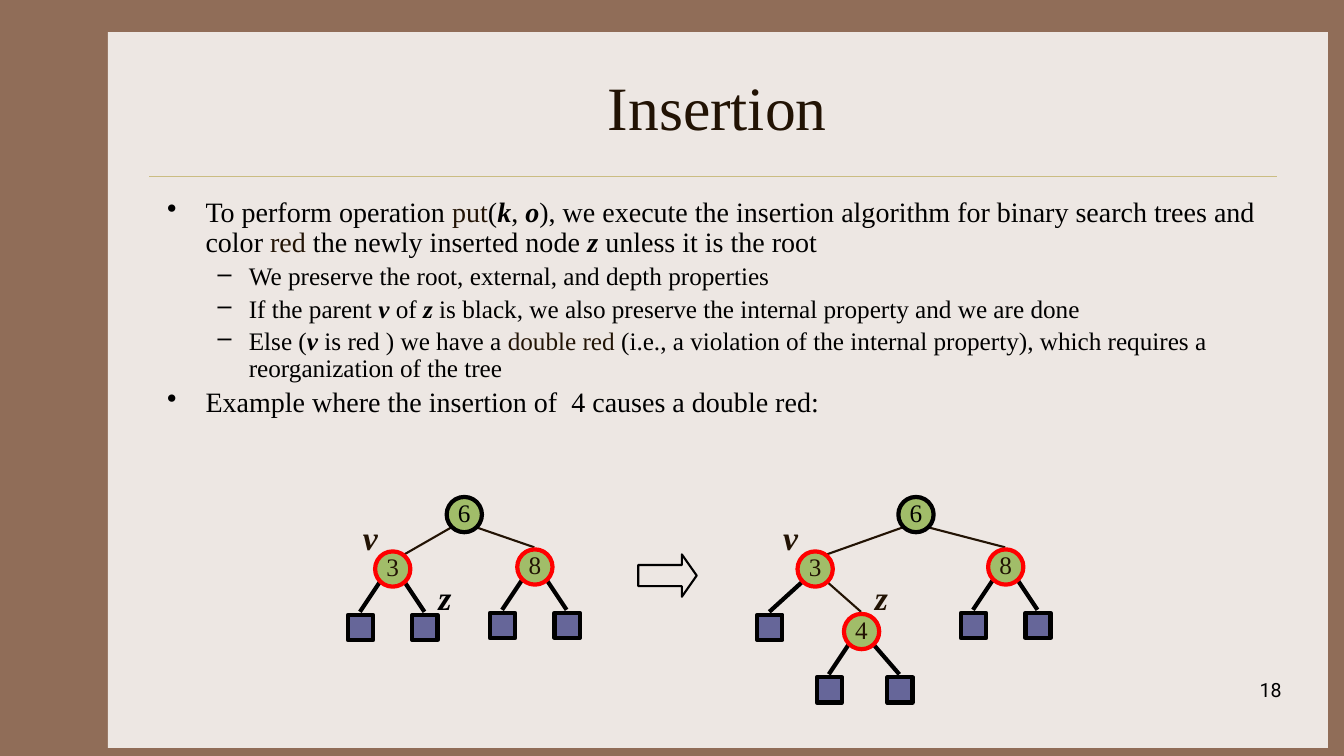
from dataclasses import dataclass

from lxml.etree import SubElement
from pptx import Presentation
from pptx.dml.color import RGBColor
from pptx.enum.shapes import MSO_CONNECTOR as Connector, MSO_SHAPE as Preset
from pptx.enum.text import MSO_ANCHOR as Anchor, PP_ALIGN as Align
from pptx.oxml.ns import qn
from pptx.util import Pt

SCALE = 9144
SERIF = "Times New Roman"
BLACK = RGBColor(0x00, 0x00, 0x00)
BROWN = RGBColor(0x22, 0x13, 0x04)
RED = RGBColor(0xFF, 0x00, 0x00)
GREEN = RGBColor(0xA1, 0xBD, 0x69)
PURPLE = RGBColor(0x66, 0x66, 0x99)
FRAME = RGBColor(0x90, 0x6D, 0x58)
PAPER = RGBColor(0xED, 0xE7, 0xE3)
GOLD = RGBColor(0xCB, 0xBD, 0x83)

NODE_SIZE = 35
LEAF_SIZE = 25

LEVELS = {0: (20, 38, 38, "•"), 1: (18, 81, 31, "–")}
BODY = [
    (0, ["To perform operation ", ("put", "brown"), "(", ("k", "variable"), ", ",
         ("o", "variable"),
         "), we execute the insertion algorithm for binary search trees and color ",
         ("red", "brown"), " the newly inserted node ", ("z ", "variable"),
         "unless it is the root"]),
    (1, ["We preserve the root, external, and depth properties"]),
    (1, ["If the parent ", ("v", "variable"), " of ", ("z", "variable"),
         " is black, we also preserve the internal property and we are done"]),
    (1, ["Else (", ("v", "variable"), " is red ) we have a ", ("double red", "brown"),
         " (i.e., a violation of the internal property), which requires a "
         "reorganization of the tree"]),
    (0, ["Example where the insertion of  4 causes a double red:"]),
]


@dataclass
class Node:
    x: int
    y: int
    label: str = ""
    children: tuple = ()
    color: RGBColor = RED


def with_leaves(x, y, label, left=32, right=32):
    return Node(x, y, label, (Node(x - left, y + 58), Node(x + right, y + 58)))


BEFORE = Node(116, 18, "6", (with_leaves(45, 72, "3"), with_leaves(186, 70, "8")), BLACK)
PARENT = Node(58, 72, "3", (Node(13, 130), with_leaves(104, 134, "4", right=38)))
AFTER = Node(158, 18, "6", (PARENT, with_leaves(247, 70, "8")), BLACK)


def px(*lengths):
    return [length * SCALE for length in lengths]


def style(span, size, color=BLACK, name=SERIF, strong=False):
    span.font.name = name
    span.font.size = Pt(size)
    span.font.color.rgb = color
    span.font.bold = span.font.italic = strong


def add_text(page, box, text, size, color=BLACK, name=SERIF, strong=False,
             align=Align.LEFT, anchor=Anchor.TOP):
    frame = page.shapes.add_textbox(*px(*box)).text_frame
    frame.word_wrap = True
    frame.vertical_anchor = anchor
    frame.text = text
    para = frame.paragraphs[0]
    para.alignment = align
    style(para.runs[0], size, color, name, strong)


def add_preset(page, preset, box, fill=None, line=None, width=3):
    shape = page.shapes.add_shape(preset, *px(*box))
    shape.shadow.inherit = False
    if fill is None:
        shape.fill.background()
    else:
        shape.fill.solid()
        shape.fill.fore_color.rgb = fill
    if line is None:
        shape.line.fill.background()
    else:
        shape.line.color.rgb = line
        shape.line.width = Pt(width)
    return shape


def add_line(page, start, end, color, width):
    line = page.shapes.add_connector(Connector.STRAIGHT, *px(*start, *end))
    line.line.color.rgb = color
    line.line.width = Pt(width)
    SubElement(line._element.spPr, qn("a:effectLst"))


def add_background(page, left, top, width, height):
    page.background.fill.solid()
    page.background.fill.fore_color.rgb = FRAME
    add_preset(page, Preset.RECTANGLE, (left, top, width, height), PAPER)
    add_line(page, (left + 41, top + 143), (left + 1160, top + 143), GOLD, 0.25)


def add_body(page, box):
    frame = page.shapes.add_textbox(*px(*box)).text_frame
    frame.word_wrap = True
    for index, (level, pieces) in enumerate(BODY):
        para = frame.add_paragraph() if index else frame.paragraphs[0]
        size, margin, hanging, bullet = LEVELS[level]
        para.level = level
        para.line_spacing = 0.9
        para.space_before = Pt(size * 0.2 if index else 0)
        properties = para._p.get_or_add_pPr()
        properties.set("marL", str(margin * SCALE))
        properties.set("indent", str(-hanging * SCALE))
        SubElement(properties, qn("a:buChar")).set("char", bullet)
        for piece in pieces:
            text, kind = (piece, "plain") if isinstance(piece, str) else piece
            span = para.add_run()
            span.text = text
            style(span, size, BROWN if kind == "brown" else BLACK,
                  strong=kind == "variable")


def add_node(page, left, top, node):
    size = NODE_SIZE if node.label else LEAF_SIZE
    box = (left + node.x - size // 2, top + node.y - size // 2, size, size)
    if not node.label:
        add_preset(page, Preset.RECTANGLE, box, PURPLE, BLACK)
        return
    frame = add_preset(page, Preset.OVAL, box, GREEN, node.color).text_frame
    frame.margin_left = frame.margin_top = frame.margin_right = 0
    frame.margin_bottom = 5 * SCALE
    frame.word_wrap = False
    frame.vertical_anchor = Anchor.MIDDLE
    frame.text = node.label
    para = frame.paragraphs[0]
    para.alignment = Align.CENTER
    style(para.runs[0], 18, BLACK if node.color == BLACK else BROWN)


def add_tree(page, left, top, node):
    for child in node.children:
        side = -1 if child.x < node.x else 1
        start = (left + node.x + 12 * side, top + node.y + 13)
        if not child.label:
            shift, color, width = (0, -15), BLACK, 3
        else:
            shift = (12, -14) if side < 0 else (0, -19)
            color, width = BROWN, 1.5
        end = (left + child.x + shift[0], top + child.y + shift[1])
        add_line(page, start, end, color, width)
        add_tree(page, left, top, child)
    add_node(page, left, top, node)


def add_example(page, left, top):
    add_tree(page, left, top, BEFORE)
    add_tree(page, left + 406, top, AFTER)
    for text, x, y, color in [("z", 81, 75, BLACK), ("v", 6, 16, BROWN),
                              ("v", 423, 16, BROWN), ("z", 514, 75, BROWN)]:
        add_text(page, (left + x, top + y, 34, 50), text, 24, color, strong=True)
    arrow = add_preset(page, Preset.RIGHT_ARROW, (left + 289, top + 58, 58, 42),
                       line=BLACK, width=1.5)
    arrow.adjustments[0] = 0.5
    arrow.adjustments[1] = 0.35


def main():
    deck = Presentation()
    deck.slide_width, deck.slide_height = px(1333, 750)
    page = deck.slides.add_slide(deck.slide_layouts[6])
    add_background(page, 107, 32, 1210, 710)
    add_text(page, (156, 42, 1111, 125), "Insertion", 44, BROWN,
             align=Align.CENTER, anchor=Anchor.MIDDLE)
    add_body(page, (156, 192, 1111, 450))
    add_text(page, (1003, 668, 278, 50), "18", 14, name="Roboto", align=Align.RIGHT)
    add_example(page, 344, 492)
    deck.save("out.pptx")


if __name__ == "__main__":
    main()
